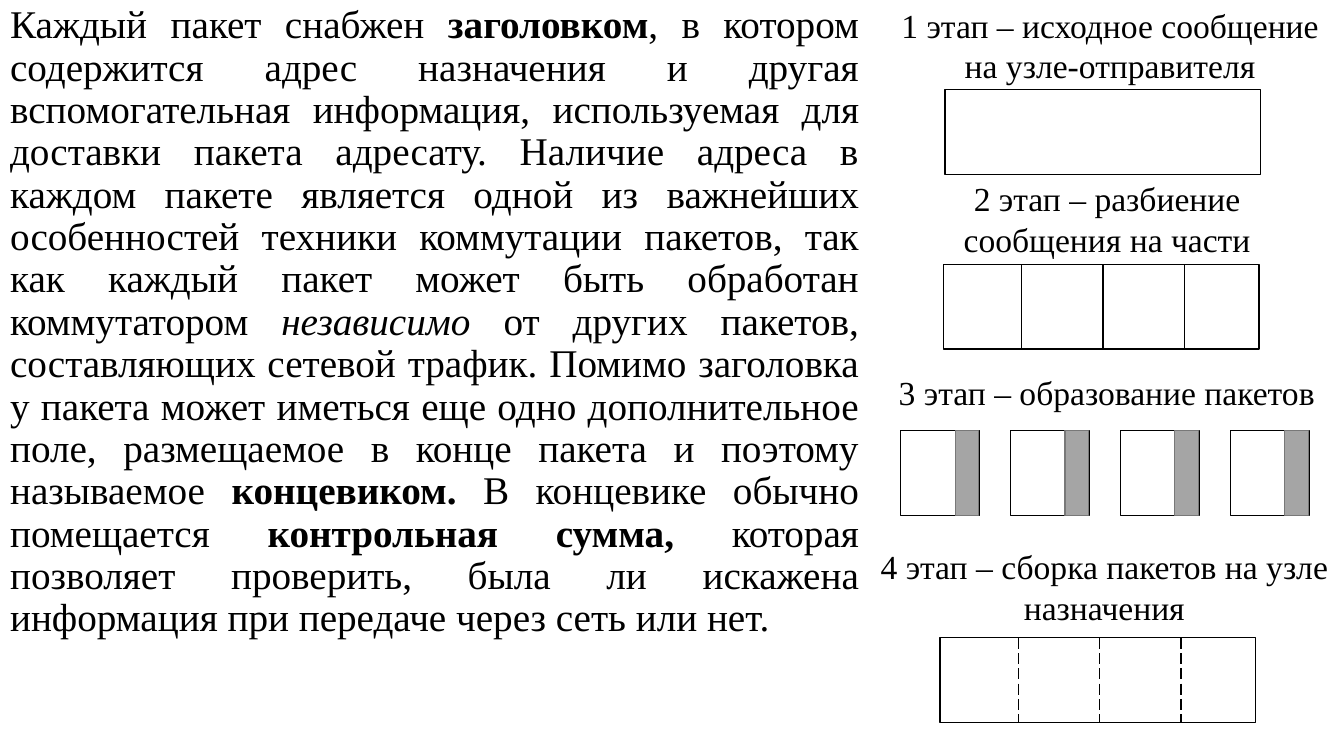
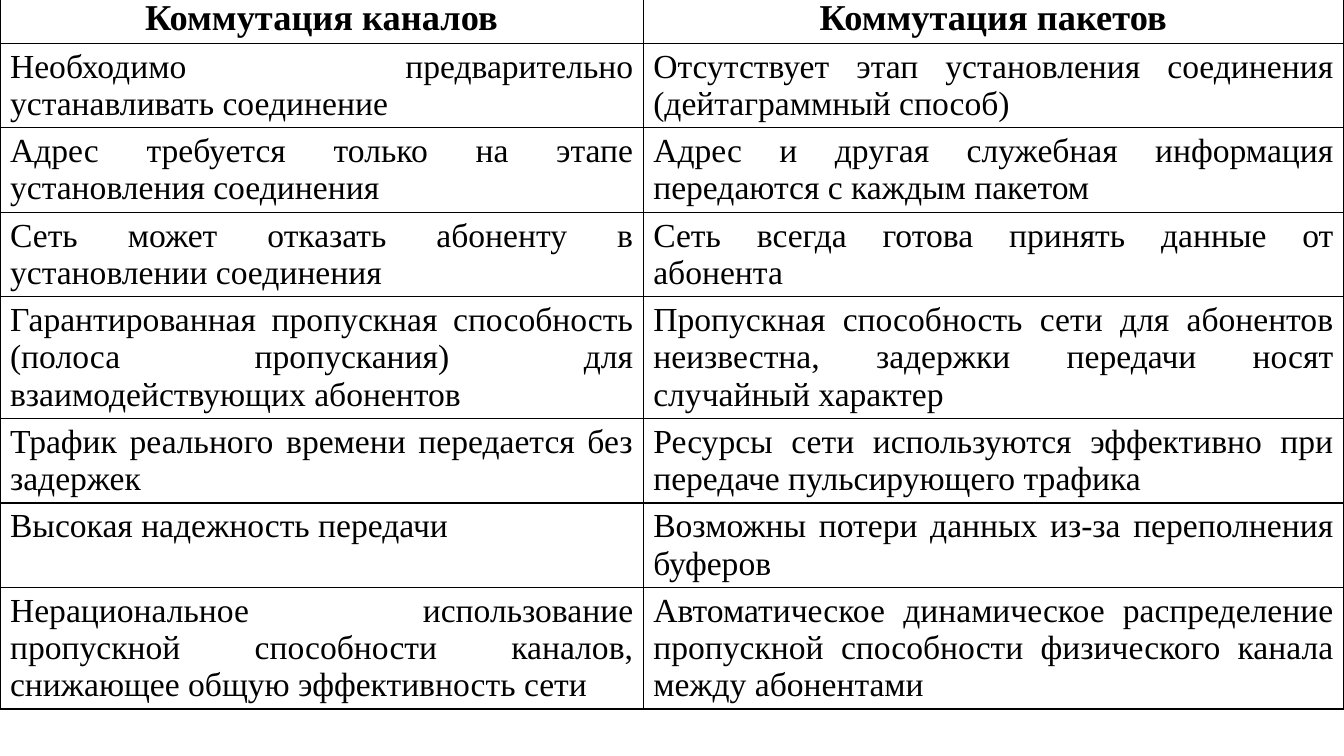
"""Build two slides on packet switching and its comparison with circuit switching."""
from lxml.etree import SubElement
from pptx import Presentation
from pptx.dml.color import RGBColor
from pptx.enum.dml import MSO_LINE
from pptx.enum.shapes import MSO_CONNECTOR, MSO_SHAPE
from pptx.enum.text import MSO_ANCHOR, MSO_AUTO_SIZE, PP_ALIGN
from pptx.oxml.ns import qn
from pptx.util import Cm, Pt

COLORS = {"ink": "000000", "paper": "FFFFFF", "tail": "A5A5A5", "tail_edge": "787878"}
FONT = "Times New Roman"
BLOCK_WIDTH, BLOCK_HEIGHT = 7.95, 2.14
PACKET_WIDTH, PACKET_STEP = 1.98, 2.77
TAIL_OFFSET, TAIL_WIDTH = 1.37, 0.59

BODY = [
    ("Каждый пакет снабжен ", ""),
    ("заголовком", "bold"),
    (", в котором содержится адрес назначения и другая вспомогательная информация, "
     "используемая для доставки пакета адресату. Наличие адреса в каждом пакете является "
     "одной из важнейших особенностей техники коммутации пакетов, так как каждый пакет "
     "может быть обработан коммутатором ", ""),
    ("независимо ", "italic"),
    ("от других пакетов, составляющих сетевой трафик. Помимо заголовка у пакета может "
     "иметься еще одно дополнительное поле, размещаемое в конце пакета и поэтому "
     "называемое ", ""),
    ("концевиком. ", "bold"),
    ("В концевике обычно помещается ", ""),
    ("контрольная сумма, ", "bold"),
    ("которая позволяет проверить, была ли искажена информация при передаче через сеть "
     "или нет.", ""),
]

LABELS = [
    ("1 этап – исходное сообщение на узле-отправителя", 22.45, 0, 11.05, 2.31, PP_ALIGN.CENTER),
    ("2 этап – разбиение сообщения на части", 22.35, 4.37, 11.1, 2.31, PP_ALIGN.CENTER),
    ("3 этап – образование пакетов", 22.4, 9.25, 11.1, 1.28, PP_ALIGN.LEFT),
    ("4 этап – сборка пакетов на узле назначения", 21.8, 13.64, 12.06, 2.31, PP_ALIGN.CENTER),
]

COMPARISON = [
    (1.26, "Коммутация каналов", "Коммутация пакетов"),
    (2.13, "Необходимо предварительно устанавливать соединение",
     "Отсутствует этап установления соединения (дейтаграммный способ)"),
    (2.13, "Адрес требуется только на этапе установления соединения",
     "Адрес и другая служебная информация передаются с каждым пакетом"),
    (2.13, "Сеть может отказать абоненту в установлении соединения",
     "Сеть всегда готова принять данные от абонента"),
    (3.06, "Гарантированная пропускная способность (полоса пропускания) для "
     "взаимодействующих абонентов",
     "Пропускная способность сети для абонентов неизвестна, задержки передачи носят "
     "случайный характер"),
    (2.13, "Трафик реального времени передается без задержек",
     "Ресурсы сети используются эффективно при передаче пульсирующего трафика"),
    (2.13, "Высокая надежность передачи",
     "Возможны потери данных из-за переполнения буферов"),
    (3.06, "Нерациональное использование пропускной способности каналов, снижающее общую "
     "эффективность сети",
     "Автоматическое динамическое распределение пропускной способности физического канала "
     "между абонентами"),
]


def color(name):
    return RGBColor.from_string(COLORS[name])


class SlideBuilder:
    def __init__(self):
        self.deck = Presentation()
        self.deck.slide_width, self.deck.slide_height = Cm(33.87), Cm(19.05)
        self.page = None

    def new_page(self, layout):
        self.page = self.deck.slides.add_slide(self.deck.slide_layouts[layout])

    def style(self, span, size, bold=False, italic=False):
        span.font.name, span.font.size = FONT, Pt(size)
        span.font.bold, span.font.italic = bold, italic
        span.font.color.rgb = color("ink")

    def body(self, parts, left, top, width, height):
        title = self.page.shapes.title
        title.element.getparent().remove(title.element)
        box = self.page.placeholders[1]
        box.left, box.top, box.width, box.height = Cm(left), Cm(top), Cm(width), Cm(height)
        frame = box.text_frame
        frame.auto_size, frame.vertical_anchor = MSO_AUTO_SIZE.NONE, MSO_ANCHOR.TOP
        para = frame.paragraphs[0]
        para.alignment, para.line_spacing, para.space_before = PP_ALIGN.JUSTIFY, 0.9, Pt(0)
        properties = para._p.get_or_add_pPr()
        properties.set("marL", "0")
        properties.set("indent", "0")
        SubElement(properties, qn("a:buNone"))
        for text, emphasis in parts:
            span = para.add_run()
            span.text = text
            self.style(span, 28, emphasis == "bold", emphasis == "italic")

    def label(self, text, left, top, width, height, alignment):
        box = self.page.shapes.add_textbox(Cm(left), Cm(top), Cm(width), Cm(height))
        frame = box.text_frame
        frame.word_wrap, frame.auto_size = True, MSO_AUTO_SIZE.SHAPE_TO_FIT_TEXT
        frame.text = text
        para = frame.paragraphs[0]
        para.alignment = alignment
        self.style(para.runs[0], 24)

    def rectangle(self, left, top, width, fill="paper", edge="ink", weight=1):
        box = self.page.shapes.add_shape(
            MSO_SHAPE.RECTANGLE, Cm(left), Cm(top), Cm(width), Cm(BLOCK_HEIGHT))
        box.shadow.inherit = False
        box.fill.solid()
        box.fill.fore_color.rgb = color(fill)
        box.line.color.rgb = color(edge)
        box.line.width = Pt(weight)

    def divided_block(self, left, top, dash=None):
        self.rectangle(left, top, BLOCK_WIDTH)
        for index in range(3):
            x = Cm(left + 1.97 + 2.05 * index)
            divider = self.page.shapes.add_connector(
                MSO_CONNECTOR.STRAIGHT, x, Cm(top), x, Cm(top + BLOCK_HEIGHT))
            divider.line.color.rgb = color("ink")
            divider.line.width = Pt(1)
            if dash:
                divider.line.dash_style = dash
            SubElement(divider._element.spPr, qn("a:effectLst"))

    def packet(self, left, top):
        self.rectangle(left, top, PACKET_WIDTH)
        self.rectangle(left + TAIL_OFFSET, top, TAIL_WIDTH, "tail", "tail_edge", 0.75)

    def cell_borders(self, cell):
        properties = cell._tc.get_or_add_tcPr()
        for side in ("lnL", "lnR", "lnT", "lnB"):
            line = SubElement(properties, qn(f"a:{side}"), w=str(Pt(1)))
            fill = SubElement(line, qn("a:solidFill"))
            SubElement(fill, qn("a:srgbClr"), val=COLORS["ink"])

    def table(self, rows, left, top, widths):
        height = sum(row[0] for row in rows)
        table = self.page.shapes.add_table(
            len(rows), len(widths), Cm(left), Cm(top), Cm(sum(widths)), Cm(height)).table
        table.first_row = table.horz_banding = False
        for column, width in zip(table.columns, widths):
            column.width = Cm(width)
        for row_index, (row_height, *texts) in enumerate(rows):
            table.rows[row_index].height = Cm(row_height)
            header = row_index == 0
            for column_index, text in enumerate(texts):
                cell = table.cell(row_index, column_index)
                self.cell_borders(cell)
                cell.fill.solid()
                cell.fill.fore_color.rgb = color("paper")
                cell.text_frame.text = text
                para = cell.text_frame.paragraphs[0]
                para.alignment = PP_ALIGN.CENTER if header else PP_ALIGN.JUSTIFY
                self.style(para.runs[0], 26 if header else 24, header)


def main():
    builder = SlideBuilder()

    builder.new_page(1)
    builder.body(BODY, 0, 0, 21.9, 19.05)
    builder.rectangle(23.82, 2.26, BLOCK_WIDTH)
    builder.divided_block(23.78, 6.66)
    for index in range(4):
        builder.packet(22.7 + PACKET_STEP * index, 10.85)
    builder.divided_block(23.69, 16.07, MSO_LINE.LONG_DASH)
    for label in LABELS:
        builder.label(*label)

    builder.new_page(6)
    builder.table(COMPARISON, 0, -0.18, (16.21, 17.65))
    title = builder.page.shapes.title
    if title is not None:
        title.element.getparent().remove(title.element)

    builder.deck.save("out.pptx")


if __name__ == "__main__":
    main()
